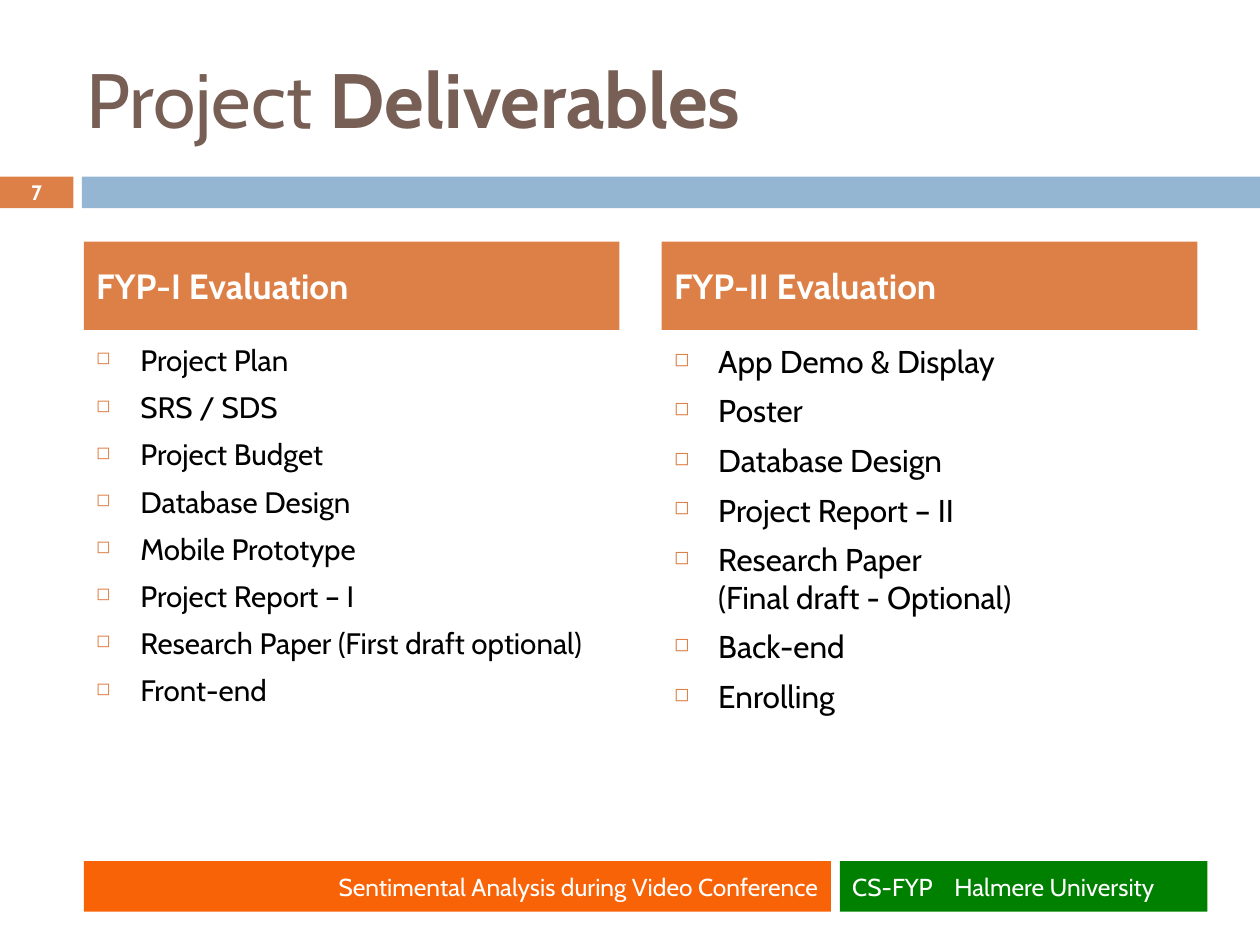
from lxml.etree import SubElement
from pptx import Presentation
from pptx.dml.color import RGBColor
from pptx.enum.shapes import MSO_SHAPE
from pptx.enum.text import MSO_ANCHOR, MSO_AUTO_SIZE, PP_ALIGN
from pptx.oxml.ns import qn
from pptx.util import Cm, Pt

ORANGE = RGBColor(0xDD, 0x80, 0x47)
BLUE = RGBColor(0x94, 0xB6, 0xD2)
BROWN = RGBColor(0x77, 0x5F, 0x55)
GREEN = RGBColor(0x00, 0x80, 0x00)
VIVID_ORANGE = RGBColor(0xF8, 0x63, 0x08)
WHITE = RGBColor(0xFF, 0xFF, 0xFF)
BLACK = RGBColor(0x00, 0x00, 0x00)

LEFT_COLUMN, RIGHT_COLUMN = 1.69, 13.34
COLUMN_WIDTH = 10.8
BAND_TOP, BAND_HEIGHT = 3.56, 0.64
FOOTER_TOP, FOOTER_HEIGHT = 17.36, 1.02

FYP_1_ITEMS = [
    "Project Plan", "SRS / SDS", "Project Budget", "Database Design",
    "Mobile Prototype", "Project Report – I",
    "Research Paper (First draft optional)", "Front-end",
]
FYP_2_ITEMS = [
    "App Demo & Display", "Poster", "Database Design", "Project Report – II",
    "Research Paper\n(Final draft - Optional)", "Back-end", "Enrolling",
]


class SlideBuilder:
    font = "Cabin"
    bullet_indent = Cm(0.89)
    bullet_spacing = Pt(6.7)

    def __init__(self, slide):
        self.slide = slide

    def run(self, paragraph, text, size, color, bold=False):
        run = paragraph.add_run()
        run.text = text
        run.font.name = self.font
        run.font.size = Pt(size)
        run.font.color.rgb = color
        run.font.bold = bold

    def title(self, left, top, width, height, parts):
        """Fill the title from (text, bold) parts."""
        title = self.slide.shapes.title
        title.left, title.top = Cm(left), Cm(top)
        title.width, title.height = Cm(width), Cm(height)
        frame = title.text_frame
        frame.auto_size = MSO_AUTO_SIZE.NONE
        frame.vertical_anchor = MSO_ANCHOR.MIDDLE
        paragraph = frame.paragraphs[0]
        paragraph.alignment = PP_ALIGN.LEFT
        for text, bold in parts:
            self.run(paragraph, text, 44, BROWN, bold)

    def bar(self, left, top, width, height, fill, text="", size=14,
            bold=False, align=PP_ALIGN.LEFT):
        """Add a filled rectangle, with optional text, and return its paragraph."""
        bar = self.slide.shapes.add_shape(
            MSO_SHAPE.RECTANGLE, Cm(left), Cm(top), Cm(width), Cm(height))
        bar.shadow.inherit = False
        bar.fill.solid()
        bar.fill.fore_color.rgb = fill
        bar.line.fill.background()
        bar.text_frame.vertical_anchor = MSO_ANCHOR.MIDDLE
        paragraph = bar.text_frame.paragraphs[0]
        paragraph.alignment = align
        if text:
            self.run(paragraph, text, size, WHITE, bold)
        return paragraph

    def tab_stop(self, paragraph, position):
        tabs = SubElement(paragraph._p.get_or_add_pPr(), qn("a:tabLst"))
        SubElement(tabs, qn("a:tab"), pos=str(Cm(position)), algn="l")

    def bullet(self, paragraph):
        paragraph.space_before = self.bullet_spacing
        properties = paragraph._p.get_or_add_pPr()
        properties.set("marL", str(self.bullet_indent))
        properties.set("indent", str(-self.bullet_indent))
        color = SubElement(properties, qn("a:buClr"))
        SubElement(color, qn("a:srgbClr"), val=str(ORANGE))
        SubElement(properties, qn("a:buSzPct"), val="60000")
        SubElement(properties, qn("a:buChar"), char="◻")

    def bullet_list(self, left, top, width, height, items, size):
        box = self.slide.shapes.add_textbox(
            Cm(left), Cm(top), Cm(width), Cm(height))
        frame = box.text_frame
        frame.word_wrap = True
        for index, item in enumerate(items):
            paragraph = frame.add_paragraph() if index else frame.paragraphs[0]
            self.bullet(paragraph)
            for line_number, line in enumerate(item.split("\n")):
                if line_number:
                    paragraph.add_line_break()
                self.run(paragraph, line, size, BLACK)


def main():
    presentation = Presentation()
    presentation.slide_width, presentation.slide_height = Cm(25.4), Cm(19.05)
    builder = SlideBuilder(
        presentation.slides.add_slide(presentation.slide_layouts[5]))

    builder.title(1.48, 0.76, 22.65, 2.41,
                  [("Project ", False), ("Deliverables", True)])
    builder.bar(0, BAND_TOP, 1.48, BAND_HEIGHT, ORANGE, "7", 11.9, True,
                PP_ALIGN.CENTER)
    builder.bar(1.65, BAND_TOP, 23.75, BAND_HEIGHT, BLUE)

    columns = [
        (LEFT_COLUMN, "FYP-I Evaluation", FYP_1_ITEMS, 16.9),
        (RIGHT_COLUMN, "FYP-II Evaluation", FYP_2_ITEMS, 18),
    ]
    for left, heading, items, size in columns:
        builder.bar(left, 4.87, COLUMN_WIDTH, 1.78, ORANGE, heading, 20, True)
        builder.bullet_list(left, 6.77, COLUMN_WIDTH, 9.95, items, size)

    builder.bar(LEFT_COLUMN, FOOTER_TOP, 15.06, FOOTER_HEIGHT, VIVID_ORANGE,
                "Sentimental Analysis during Video Conference",
                align=PP_ALIGN.RIGHT)
    affiliation = builder.bar(16.93, FOOTER_TOP, 7.41, FOOTER_HEIGHT, GREEN,
                              "CS-FYP\tHalmere University")
    builder.tab_stop(affiliation, 2.06)

    presentation.save("out.pptx")


if __name__ == "__main__":
    main()
